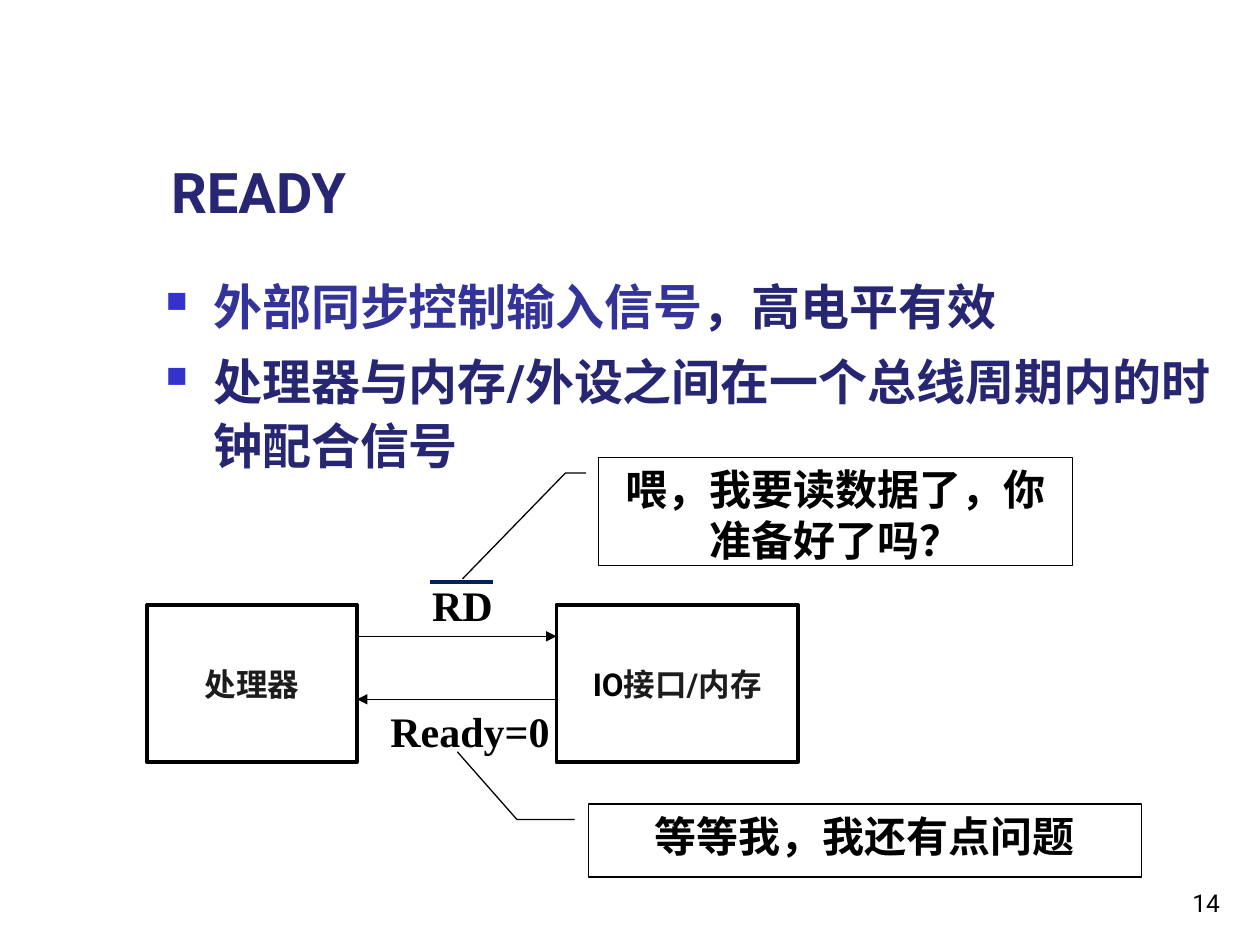
from dataclasses import dataclass

from lxml import etree
from pptx import Presentation
from pptx.dml.color import RGBColor as Rgb
from pptx.enum import shapes as shp, text as txt
from pptx.oxml import ns
from pptx.util import Pt

Run = tuple[str, str]


@dataclass(frozen=True)
class Theme:
    sans: str = "Roboto"
    serif: str = "Times New Roman"
    navy: str = "262673"
    blue: str = "333399"
    mark: str = "3333CC"
    ink: str = "1C1C1C"
    black: str = "000000"
    white: str = "FFFFFF"
    bar: str = "002060"
    title: int = 32
    body: int = 28
    talk: int = 24
    block: int = 18
    page: int = 14


@dataclass(frozen=True)
class Box:
    x: float
    y: float
    w: float
    h: float


@dataclass(frozen=True)
class Block:
    box: Box
    runs: list[Run]


@dataclass(frozen=True)
class Callout:
    box: Box
    words: str
    bends: tuple[float, ...]


@dataclass(frozen=True)
class Label:
    box: Box
    words: str


@dataclass(frozen=True)
class Line:
    x1: float
    x2: float
    y: float
    color: str
    width: float
    arrow: bool


T = Theme()
ALIGN, ANCHOR = txt.PP_ALIGN, txt.MSO_ANCHOR
BULLETS: list[list[Run]] = [
    [("外部同步控制输入信号", T.blue), ("，高电平有效", T.navy)],
    [("处理器与内存/外设之间在一个总线周期内的时钟配合信号", T.navy)],
]
CPU, PORT = Box(84, 345.6, 120, 90), Box(318, 345.6, 138, 90)
LEFT, RIGHT = CPU.x + CPU.w, PORT.x
BLOCKS = [
    Block(CPU, [("处理器", T.ink)]),
    Block(PORT, [("IO", T.black), ("接口/内存", T.ink)]),
]
CALLS = [
    Callout(Box(342, 261.4, 270.7, 61.9), "喂，我要读数据了，你准备好了吗？",
            (0.145, -0.026, 0.145, -0.07, 1.121, -0.287)),
    Callout(Box(336.2, 459.4, 316.1, 41.8), "等等我，我还有点问题",
            (0.214, -0.025, 0.214, -0.129, -0.714, -0.237)),
]
LABELS = [
    Label(Box(239.8, 327.6, 49.7, 36), "RD"),
    Label(Box(216, 399.6, 106.6, 33.8), "Ready=0"),
]
LINES = [
    Line(LEFT, RIGHT, 363.6, T.black, 0.75, True),
    Line(RIGHT, LEFT, 399.6, T.black, 0.75, True),
    Line(246, 281.5, 332.5, T.bar, 2.25, False),
]


def rgb(code: str) -> Rgb:
    return Rgb.from_string(code)


def place(box: Box) -> list[Pt]:
    return [Pt(v) for v in (box.x, box.y, box.w, box.h)]


def write(para, runs: list[Run], size: int, face: str, bold: bool = True) -> None:
    for words, color in runs:
        run = para.add_run()
        run.text = words
        font = run.font
        font.size, font.name, font.bold = Pt(size), face, bold
        font.color.rgb = rgb(color)


def add_text(slide, box: Box, anchor=ANCHOR.TOP, wrap: bool = True):
    frame = slide.shapes.add_textbox(*place(box)).text_frame
    frame.word_wrap, frame.vertical_anchor = wrap, anchor
    return frame


def add_rect(slide, kind, box: Box, width: float):
    shape = slide.shapes.add_shape(kind, *place(box))
    shape.shadow.inherit = False
    shape.fill.solid()
    shape.fill.fore_color.rgb = rgb(T.white)
    shape.line.color.rgb = rgb(T.black)
    shape.line.width = Pt(width)
    shape.text_frame.paragraphs[0].alignment = ALIGN.CENTER
    return shape


def add_block(slide, block: Block) -> None:
    frame = add_rect(slide, shp.MSO_SHAPE.RECTANGLE, block.box, 2).text_frame
    frame.word_wrap, frame.vertical_anchor = False, ANCHOR.MIDDLE
    write(frame.paragraphs[0], block.runs, T.block, T.sans)


def add_call(slide, call: Callout) -> None:
    shape = add_rect(slide, shp.MSO_SHAPE.LINE_CALLOUT_2, call.box, 0.75)
    for i, bend in enumerate(call.bends):
        shape.adjustments[i] = bend
    frame = shape.text_frame
    frame.word_wrap, frame.vertical_anchor = True, ANCHOR.TOP
    write(frame.paragraphs[0], [(call.words, T.black)], T.talk, T.serif)


def add_label(slide, label: Label) -> None:
    frame = add_text(slide, label.box, wrap=False)
    frame.auto_size = txt.MSO_AUTO_SIZE.SHAPE_TO_FIT_TEXT
    write(frame.paragraphs[0], [(label.words, T.black)], T.talk, T.serif)


def add_line(slide, line: Line) -> None:
    link = slide.shapes.add_connector(
        shp.MSO_CONNECTOR.STRAIGHT, Pt(line.x1), Pt(line.y), Pt(line.x2), Pt(line.y))
    link.line.color.rgb = rgb(line.color)
    link.line.width = Pt(line.width)
    if line.arrow:
        etree.SubElement(link.line._get_or_add_ln(), ns.qn("a:tailEnd"), type="triangle")
    etree.SubElement(link._element.spPr, ns.qn("a:effectLst"))


def add_mark(para) -> None:
    """Give the paragraph a square bullet with a hanging indent."""
    props = para._p.get_or_add_pPr()
    props.set("marL", str(Pt(27)))
    props.set("indent", str(-Pt(27)))
    tint = etree.SubElement(props, ns.qn("a:buClr"))
    etree.SubElement(tint, ns.qn("a:srgbClr"), val=T.mark)
    etree.SubElement(props, ns.qn("a:buSzPct"), val="60000")
    etree.SubElement(props, ns.qn("a:buChar"), char="■")


def add_list(slide, box: Box) -> None:
    frame = add_text(slide, box)
    for i, runs in enumerate(BULLETS):
        para = frame.add_paragraph() if i else frame.paragraphs[0]
        add_mark(para)
        para.line_spacing = 1.1
        para.space_before, para.space_after = Pt(4.2 if i else 0), Pt(1.4)
        write(para, runs, T.body, T.sans)


def main() -> None:
    deck = Presentation()
    deck.slide_width, deck.slide_height = Pt(720), Pt(540)
    slide = deck.slides.add_slide(deck.slide_layouts[6])

    head = add_text(slide, Box(90.7, 16.6, 613.4, 115.2), ANCHOR.BOTTOM)
    write(head.paragraphs[0], [("READY", T.navy)], T.title, T.sans)
    page = add_text(slide, Box(554.4, 491.8, 149.8, 36), ANCHOR.BOTTOM).paragraphs[0]
    page.alignment = ALIGN.RIGHT
    write(page, [("14", T.black)], T.page, T.sans, False)
    add_list(slide, Box(87.8, 151.2, 612, 139.7))

    for draw, items in ((add_block, BLOCKS), (add_call, CALLS),
                        (add_label, LABELS), (add_line, LINES)):
        for item in items:
            draw(slide, item)
    deck.save("out.pptx")


if __name__ == "__main__":
    main()
